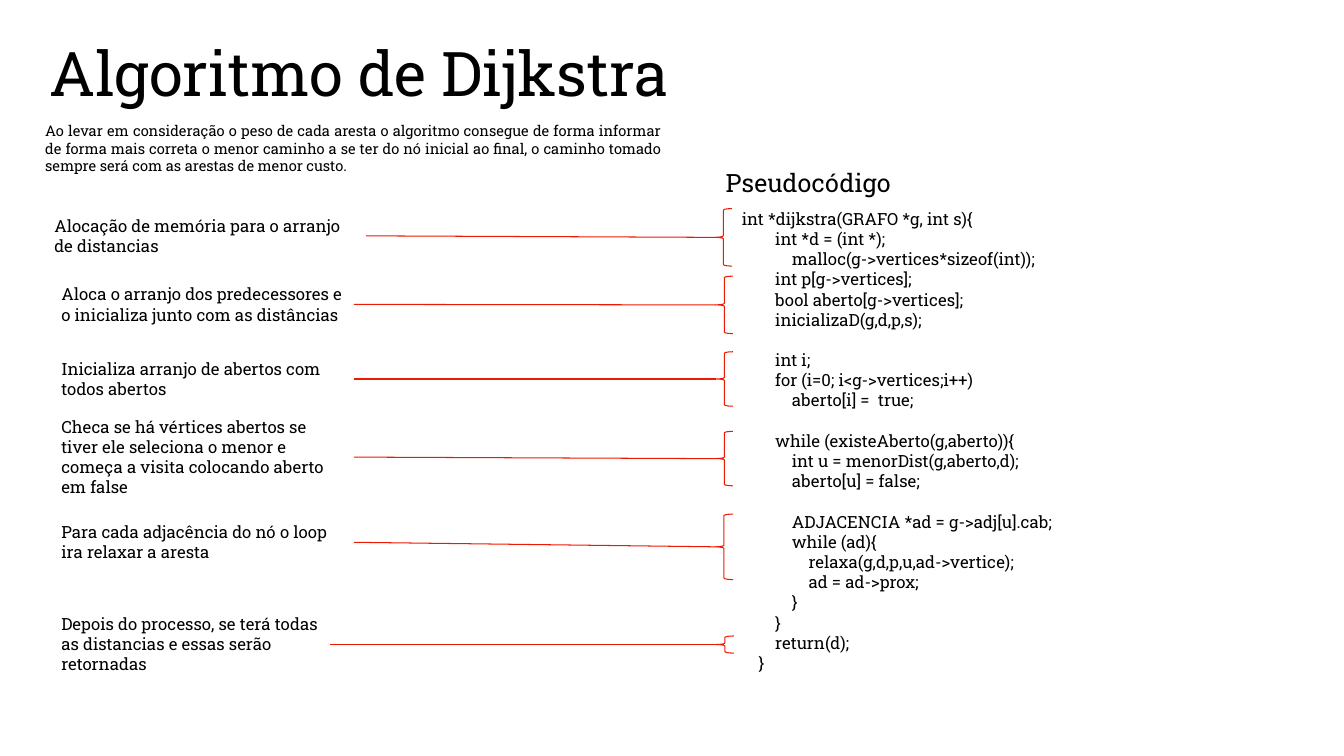
from dataclasses import dataclass

from lxml.etree import SubElement
from pptx import Presentation
from pptx.dml.color import RGBColor
from pptx.enum.shapes import MSO_CONNECTOR, MSO_SHAPE
from pptx.enum.text import MSO_ANCHOR, MSO_AUTO_SIZE, PP_ALIGN
from pptx.oxml.ns import qn
from pptx.shapes.autoshape import Shape
from pptx.slide import Slide
from pptx.text.text import _Paragraph
from pptx.util import Inches, Pt

FONT = "Roboto Slab"
BLACK = "000000"
RED = "ED1A02"
CODE_SIZE = 12
CODE_GAP = 14.5

INTRO = (
    "Ao levar em consideração o peso de cada aresta o algoritmo consegue de forma "
    "informar de forma mais correta o menor caminho a se ter do nó inicial ao final, "
    "o caminho tomado sempre será com as arestas de menor custo."
)

CODE = """int *dijkstra(GRAFO *g, int s){
        int *d = (int *);
            malloc(g->vertices*sizeof(int));
        int p[g->vertices];
        bool aberto[g->vertices];
        inicializaD(g,d,p,s);

        int i;
        for (i=0; i<g->vertices;i++)
            aberto[i] =  true;

        while (existeAberto(g,aberto)){
            int u = menorDist(g,aberto,d);
            aberto[u] = false;

            ADJACENCIA *ad = g->adj[u].cab;
            while (ad){
                relaxa(g,d,p,u,ad->vertice);
                ad = ad->prox;
            }
        }
        return(d);
    }"""


@dataclass
class Box:
    left: float
    top: float
    width: float
    height: float


@dataclass
class Step:
    """A note on the left and the brace around its lines of code."""
    text: str
    note: Box
    brace: Box


STEPS = [
    Step("Alocação de memória para o arranjo de distancias",
         Box(0.44, 2.09, 3.19, 0.5), Box(7.09, 2.07, 0.17, 0.57)),
    Step("Aloca o arranjo dos predecessores e o inicializa junto com as distâncias",
         Box(0.51, 2.77, 3, 0.5), Box(7.1, 2.74, 0.17, 0.57)),
    Step("Inicializa arranjo de abertos com todos abertos",
         Box(0.51, 3.51, 3, 0.5), Box(7.1, 3.49, 0.17, 0.54)),
    Step("Checa se há vértices abertos se tiver ele seleciona o menor e começa a "
         "visita colocando aberto em false",
         Box(0.51, 4.08, 3, 0.91), Box(7.1, 4.28, 0.17, 0.54)),
    Step("Para cada adjacência do nó o loop ira relaxar a aresta",
         Box(0.51, 5.13, 3, 0.5), Box(7.09, 5.1, 0.18, 0.65)),
    Step("Depois do processo, se terá todas as distancias e essas serão retornadas",
         Box(0.51, 6.04, 2.76, 0.71), Box(7.1, 6.31, 0.18, 0.17)),
]


def color(code: str) -> RGBColor:
    return RGBColor.from_string(code)


def place(shape: Shape, box: Box) -> None:
    shape.left, shape.top = Inches(box.left), Inches(box.top)
    shape.width, shape.height = Inches(box.width), Inches(box.height)


def style(para: _Paragraph, size: float) -> None:
    para.font.name = FONT
    para.font.size = Pt(size)
    para.font.color.rgb = color(BLACK)


def write(shape: Shape, text: str, size: float, wrap: bool = True,
          align: PP_ALIGN = PP_ALIGN.LEFT) -> None:
    """Fill a text shape with one paragraph per line."""
    frame = shape.text_frame
    frame.text = text
    frame.word_wrap = wrap
    frame.auto_size = MSO_AUTO_SIZE.SHAPE_TO_FIT_TEXT
    frame.vertical_anchor = MSO_ANCHOR.TOP
    for para in frame.paragraphs:
        para.alignment = align
        style(para, size)


def add_text(slide: Slide, box: Box, text: str, size: float, wrap: bool = True,
             align: PP_ALIGN = PP_ALIGN.LEFT) -> Shape:
    shape = slide.shapes.add_textbox(0, 0, 0, 0)
    place(shape, box)
    write(shape, text, size, wrap, align)
    return shape


def add_code(slide: Slide, box: Box) -> None:
    """Set the code, with a gap of one line before each new block."""
    blocks = [block.split("\n") for block in CODE.split("\n\n")]
    lines = [line for block in blocks for line in block]
    shape = add_text(slide, box, "\n".join(lines), CODE_SIZE, wrap=False)
    start = 0
    for block in blocks[:-1]:
        start += len(block)
        shape.text_frame.paragraphs[start].space_before = Pt(CODE_GAP)


def add_step(slide: Slide, step: Step) -> None:
    note = add_text(slide, step.note, step.text, 12)
    brace = slide.shapes.add_shape(MSO_SHAPE.LEFT_BRACE, 0, 0, 0, 0)
    place(brace, step.brace)
    brace.shadow.inherit = False
    brace.fill.background()
    link = slide.shapes.add_connector(MSO_CONNECTOR.STRAIGHT, 0, 0, 0, 0)
    link.begin_connect(brace, 1)
    link.end_connect(note, 3)
    for shape in (brace, link):
        shape.line.color.rgb = color(RED)
        shape.line.width = Pt(0.75)
    SubElement(link._element.spPr, qn("a:effectLst"))


def main() -> None:
    deck = Presentation()
    deck.slide_width, deck.slide_height = Inches(13.33), Inches(7.5)
    slide = deck.slides.add_slide(deck.slide_layouts[5])
    title = slide.shapes.title
    place(title, Box(0.39, 0.3, 6.5, 0.84))
    write(title, "Algoritmo de Dijkstra", 44, wrap=False)
    add_text(slide, Box(0.35, 1.16, 6.31, 0.63), INTRO, 10.5, align=PP_ALIGN.JUSTIFY)
    add_text(slide, Box(7.1, 1.61, 1.86, 0.4), "Pseudocódigo", 18, wrap=False)
    add_code(slide, Box(7.26, 2.02, 3.41, 4.75))
    for step in STEPS:
        add_step(slide, step)
    deck.save("out.pptx")


if __name__ == "__main__":
    main()
